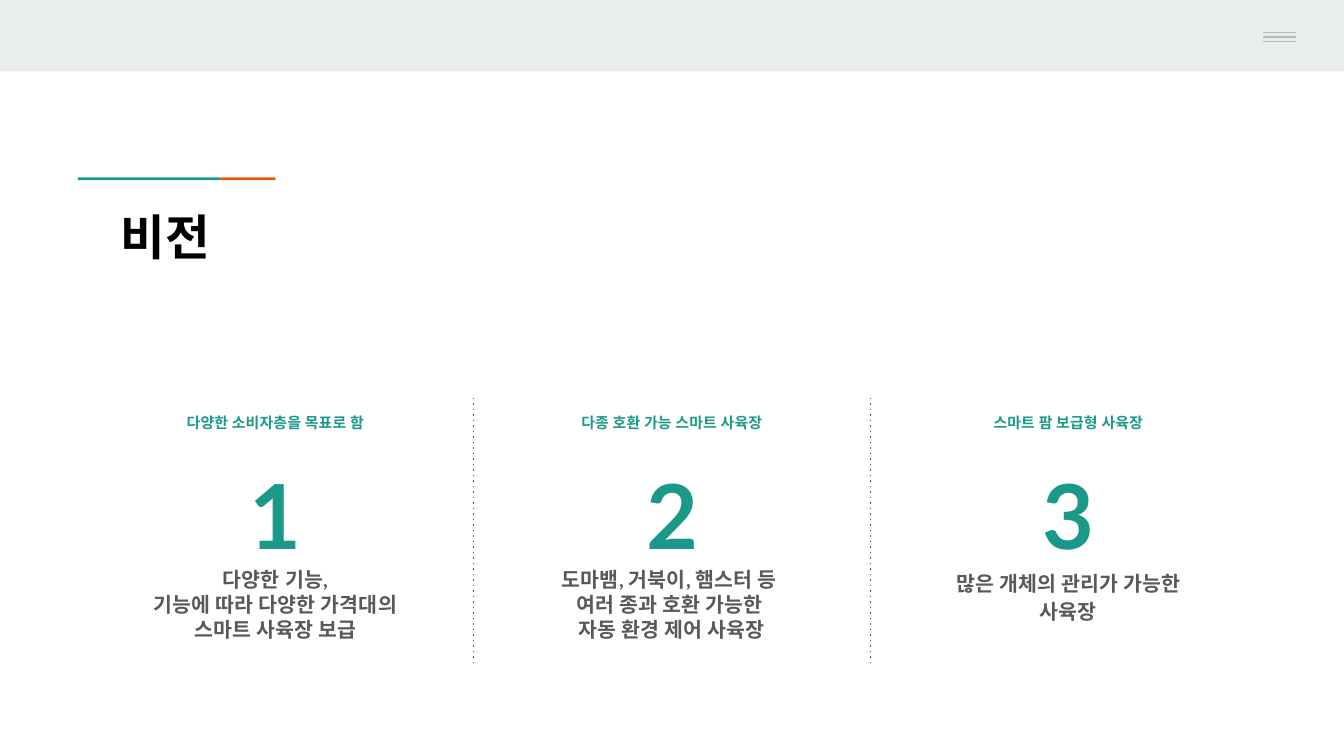
import pptx
import pptx.util
import pptx.dml.color
import pptx.enum.shapes
import pptx.enum.text
import pptx.oxml.ns
import lxml.etree

RGBColor = pptx.dml.color.RGBColor
Inches = pptx.util.Inches
BAND = RGBColor(0xE9, 0xED, 0xEE)
ORANGE = RGBColor(0xEB, 0x56, 0x00)
TEAL = RGBColor(0x1A, 0x99, 0x88)
SILVER = RGBColor(0xB7, 0xB7, 0xB7)
GRAY = RGBColor(0x59, 0x59, 0x59)
BLACK = RGBColor(0, 0, 0)
WHITE = RGBColor(0xFF, 0xFF, 0xFF)

WIDTH = 10
HEIGHT = WIDTH * 9 / 16
COLUMN_LEFT, COLUMN_TOP = 0.79, 2.96
COLUMN_WIDTH, COLUMN_HEIGHT = 2.52, 2
COLUMN_STEP = 2.95

VISIONS = [
    ("다양한 소비자층을 목표로 함",
     ["다양한 기능,", "기능에 따라 다양한 가격대의 스마트 사육장 보급"], 1),
    ("다종 호환 가능 스마트 사육장",
     ["도마뱀, 거북이, 햄스터 등 ", "여러 종과 호환 가능한 ", "자동 환경 제어 사육장"], 1),
    ("스마트 팜 보급형 사육장",
     ["많은 개체의 관리가 가능한 사육장"], 1.15),
]


def add_bar(page, left, top, width, height, color):
    bar = page.shapes.add_shape(
        pptx.enum.shapes.MSO_SHAPE.RECTANGLE,
        Inches(left), Inches(top), Inches(width), Inches(height))
    bar.shadow.inherit = False
    bar.fill.solid()
    bar.fill.fore_color.rgb = color
    bar.line.fill.background()


def add_rule(page, start, end, color, dotted=False):
    rule = page.shapes.add_connector(
        pptx.enum.shapes.MSO_CONNECTOR.STRAIGHT,
        Inches(start[0]), Inches(start[1]), Inches(end[0]), Inches(end[1]))
    rule.line.color.rgb = color
    rule.line.width = pptx.util.Pt(0.75)
    if dotted:
        dash = lxml.etree.SubElement(
            rule.line._get_or_add_ln(), pptx.oxml.ns.qn("a:prstDash"))
        dash.set("val", "dot")
    lxml.etree.SubElement(rule._element.spPr, pptx.oxml.ns.qn("a:effectLst"))


def add_text(page, left, top, width, height, lines, size, font, color,
             align=pptx.enum.text.PP_ALIGN.CENTER, spacing=1):
    box = page.shapes.add_textbox(
        Inches(left), Inches(top), Inches(width), Inches(height))
    frame = box.text_frame
    frame.word_wrap = True
    frame.margin_left = frame.margin_right = Inches(0.1)
    frame.margin_top = frame.margin_bottom = Inches(0.1)
    frame.text = "\n".join(lines)
    for para in frame.paragraphs:
        para.alignment = align
        para.line_spacing = spacing
        for span in para.runs:
            span.font.size = pptx.util.Pt(size)
            span.font.bold = True
            span.font.color.rgb = color
            span.font.name = font
            east_asian = lxml.etree.SubElement(
                span.font._element, pptx.oxml.ns.qn("a:ea"))
            east_asian.set("typeface", font)


def add_header(page, left, top, width, height):
    add_bar(page, left, top, width, height, BAND)
    menu_left = left + width * 0.94
    for row in range(3):
        y = top + 0.24 + row * 0.035
        add_rule(page, (menu_left, y), (menu_left + 0.24, y), SILVER)


def add_title(page, left, top, width, height):
    add_bar(page, left, top, 1.06, 0.02, TEAL)
    add_bar(page, left + 1.06, top, 0.41, 0.02, ORANGE)
    add_text(page, left + 0.22, top + 0.12, width - 0.22, height - 0.12,
             ["비전"], 26, "Manrope", BLACK, pptx.enum.text.PP_ALIGN.LEFT)


def add_vision(page, left, top, width, height, number, vision):
    label, lines, spacing = vision
    parts = [
        (1.93, height * 0.01, 0.25, [label], 8, TEAL, 1.15),
        (width, height * 0.12, 1.04, [str(number)], 48, TEAL, 1.15),
        (2.26, height * 0.58, 0.81, lines, 11, GRAY, spacing),
    ]
    for part_width, offset, part_height, words, size, color, leading in parts:
        add_text(page, left + (width - part_width) / 2, top + offset,
                 part_width, part_height, words, size, "Lato", color,
                 spacing=leading)


def add_visions(page, left, top, width, height):
    gap = COLUMN_STEP - width
    for index, vision in enumerate(VISIONS):
        x = left + index * COLUMN_STEP
        add_vision(page, x, top, width, height, index + 1, vision)
        if index:
            divider = x - gap / 2
            add_rule(page, (divider, top), (divider, top + height), GRAY, True)


def main():
    deck = pptx.Presentation()
    deck.slide_width = Inches(WIDTH)
    deck.slide_height = Inches(HEIGHT)
    page = deck.slides.add_slide(deck.slide_layouts[6])
    page.background.fill.solid()
    page.background.fill.fore_color.rgb = WHITE
    add_header(page, 0, 0, WIDTH, 0.53)
    add_title(page, 0.58, 1.32, 3.28, 1.25)
    add_visions(page, COLUMN_LEFT, COLUMN_TOP, COLUMN_WIDTH, COLUMN_HEIGHT)
    deck.save("out.pptx")


if __name__ == "__main__":
    main()
